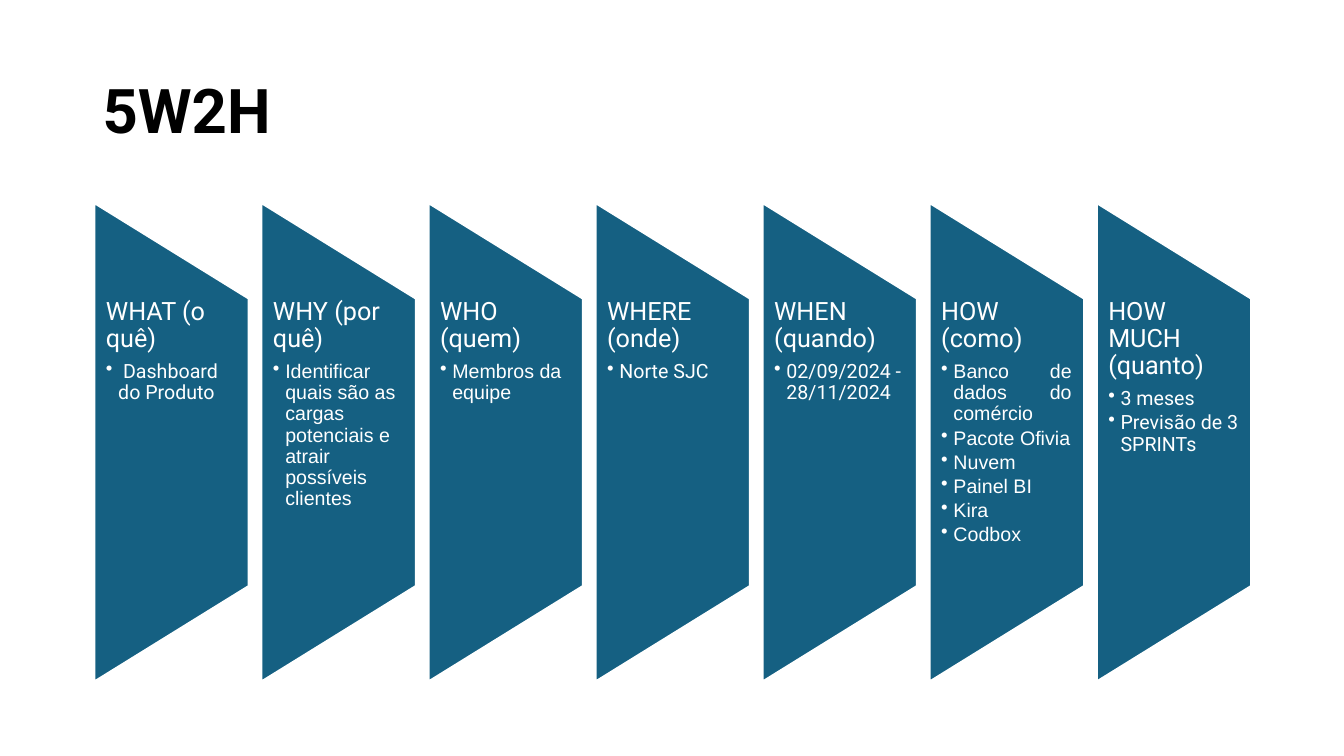
from dataclasses import dataclass

from lxml import etree
from pptx import Presentation
from pptx.dml.color import RGBColor
from pptx.enum.shapes import MSO_SHAPE
from pptx.enum.text import MSO_ANCHOR, MSO_AUTO_SIZE, PP_ALIGN
from pptx.oxml.ns import qn
from pptx.util import Cm, Pt

PANEL_SHAPE = MSO_SHAPE.FLOWCHART_MANUAL_OPERATION
MIDDLE, TOP = MSO_ANCHOR.MIDDLE, MSO_ANCHOR.TOP
LEFT, JUSTIFY = PP_ALIGN.LEFT, PP_ALIGN.JUSTIFY
NO_AUTOFIT = MSO_AUTO_SIZE.NONE


@dataclass(frozen=True)
class Theme:
    panel: RGBColor = RGBColor(0x15, 0x60, 0x82)
    light: RGBColor = RGBColor(0xFF, 0xFF, 0xFF)
    dark: RGBColor = RGBColor(0, 0, 0)
    main_font: str = "Roboto"
    plain_font: str = "Arial"
    title_size: int = 44
    heading_size: int = 18
    item_size: int = 14


THEME = Theme()

# Heading, items, item font, item alignment
QUESTIONS = [
    ("WHAT (o quê)", [" Dashboard do Produto"], THEME.main_font, LEFT),
    ("WHY (por quê)",
     ["Identificar quais são as cargas potenciais e atrair possíveis clientes"],
     THEME.plain_font, LEFT),
    ("WHO (quem)", ["Membros da equipe"], THEME.plain_font, LEFT),
    ("WHERE (onde)", ["Norte SJC"], THEME.main_font, LEFT),
    ("WHEN (quando)", ["02/09/2024 - 28/11/2024"], THEME.main_font, LEFT),
    ("HOW (como)",
     ["Banco de dados do comércio", "Pacote Ofivia", "Nuvem", "Painel BI",
      "Kira", "Codbox"],
     THEME.plain_font, JUSTIFY),
    ("HOW MUCH (quanto)", ["3 meses", "Previsão de 3 SPRINTs"],
     THEME.main_font, LEFT),
]


def write_text(paragraph, text, *, size, color=THEME.light, font=THEME.main_font,
               bold=False, align=LEFT, space_after=0, bullet=False):
    paragraph.alignment = align
    paragraph.line_spacing = 0.9
    paragraph.space_before = Pt(0)
    paragraph.space_after = Pt(space_after)
    run = paragraph.add_run()
    run.text = text
    run.font.name = font
    run.font.size = Pt(size)
    run.font.bold = bold
    run.font.color.rgb = color
    if bullet:
        paragraph.level = 1
        properties = paragraph._p.get_or_add_pPr()
        properties.set("marL", str(Cm(0.31)))
        properties.set("indent", str(-Cm(0.31)))
        etree.SubElement(properties, qn("a:buChar")).set("char", "•")


def add_title(slide, text, left, top, width, height):
    title = slide.shapes.title
    title.left, title.top, title.width, title.height = left, top, width, height
    frame = title.text_frame
    frame.auto_size = NO_AUTOFIT
    frame.vertical_anchor = MIDDLE
    write_text(frame.paragraphs[0], text, size=THEME.title_size,
               color=THEME.dark, bold=True)


def add_panel(slide, left, top, width, height):
    """Draw the trapezoid turned a quarter left, so that it fills the box."""
    shape = slide.shapes.add_shape(
        PANEL_SHAPE, left + (width - height) // 2, top + (height - width) // 2,
        height, width)
    shape.rotation = 270
    shape.shadow.inherit = False
    shape.fill.solid()
    shape.fill.fore_color.rgb = THEME.panel
    shape.line.color.rgb = THEME.light
    shape.line.width = Pt(2)


def add_question(slide, question, left, top, width, height):
    heading, items, font, align = question
    add_panel(slide, left, top, width, height)
    # The straight part of the trapezoid is the middle three fifths.
    text_box = slide.shapes.add_textbox(left, top + height // 5,
                                        width, height * 3 // 5)
    frame = text_box.text_frame
    frame.word_wrap = True
    frame.auto_size = NO_AUTOFIT
    frame.vertical_anchor = TOP
    frame.margin_left, frame.margin_right = Cm(0.3), Cm(0.32)
    frame.margin_top = frame.margin_bottom = 0
    write_text(frame.paragraphs[0], heading, size=THEME.heading_size,
               space_after=0.35 * THEME.heading_size)
    for item in items:
        write_text(frame.add_paragraph(), item, size=THEME.item_size, font=font,
                   align=align, space_after=0.15 * THEME.item_size, bullet=True)


def add_questions(slide, left, top, width, height):
    gap = Cm(0.3)
    count = len(QUESTIONS)
    panel_width = (width - gap * (count - 1)) // count
    for index, question in enumerate(QUESTIONS):
        add_question(slide, question, left + index * (panel_width + gap), top,
                     panel_width, height)


def main():
    presentation = Presentation()
    presentation.slide_width, presentation.slide_height = Cm(33.87), Cm(19.05)
    slide = presentation.slides.add_slide(presentation.slide_layouts[5])
    add_title(slide, "5W2H", Cm(2.33), Cm(1.01), Cm(29.21), Cm(3.68))
    add_questions(slide, Cm(2.37), Cm(5.1), Cm(29.17), Cm(12.09))
    presentation.save("out.pptx")


if __name__ == "__main__":
    main()
